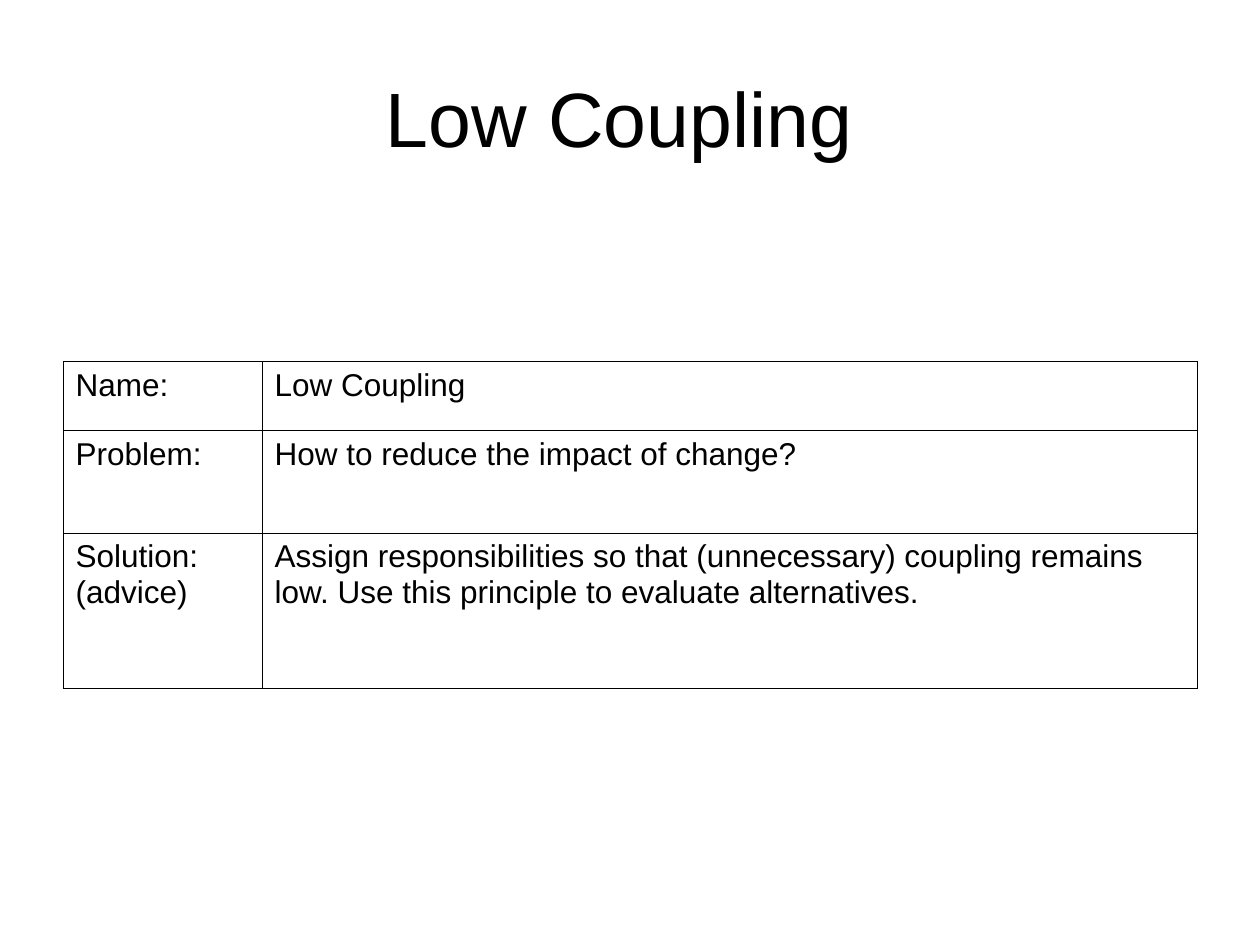
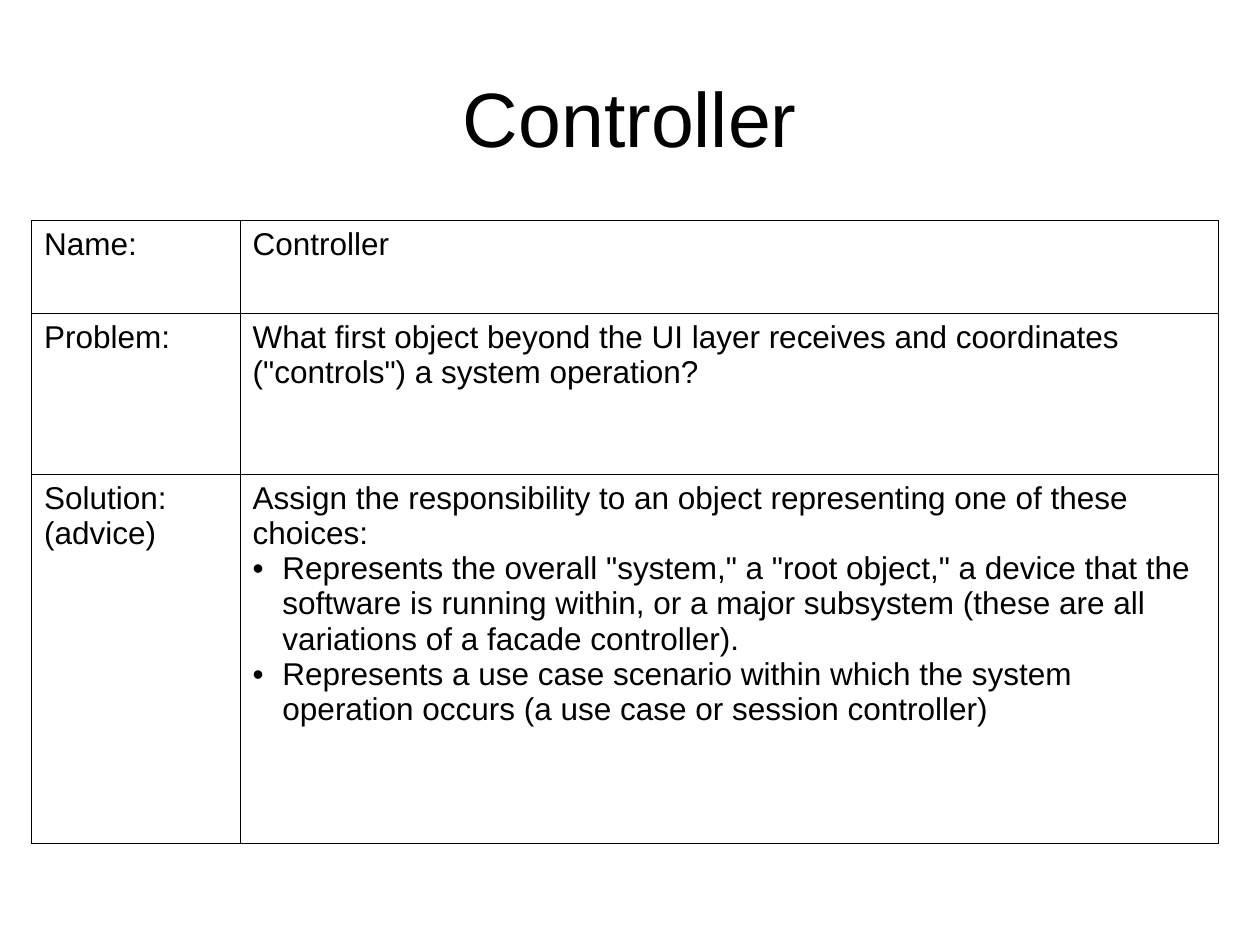
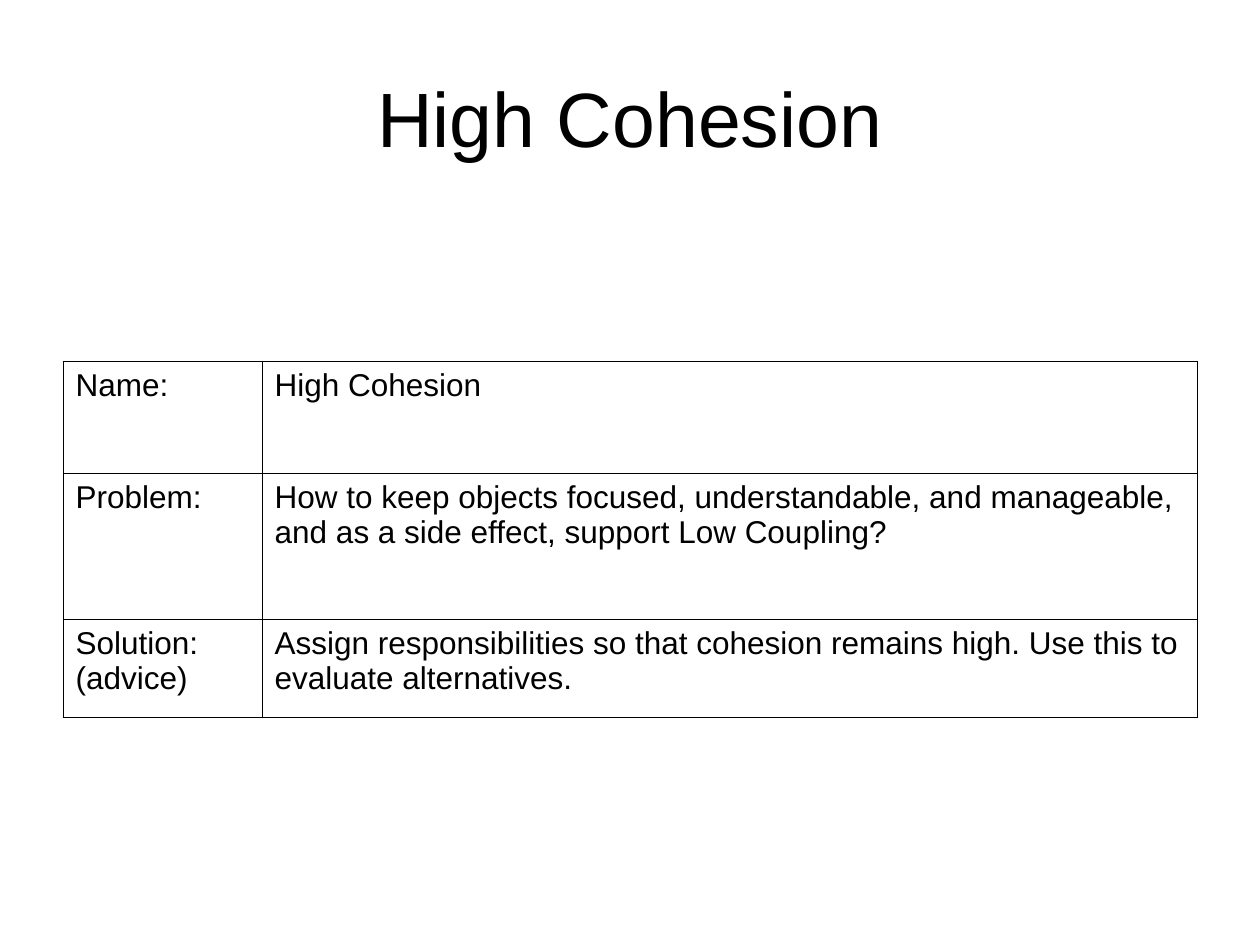
import pptx
import pptx.dml.color
import pptx.enum.text
import pptx.oxml
import pptx.oxml.ns
import pptx.util

Pt = pptx.util.Pt
ALIGN = pptx.enum.text.PP_ALIGN
ANCHOR = pptx.enum.text.MSO_ANCHOR

# Shared style
BLACK = pptx.dml.color.RGBColor(0x00, 0x00, 0x00)
FONT = "Arial"
TITLE_SIZE = 44
BODY_SIZE = 18
BORDER_WIDTH = 0.45
BULLET_INDENT = 17
LABELS = ("Name:", "Problem:", "Solution: (advice)")

# Table placement: left, top, column widths
LOW_TABLE = (36, 206.6, (113.8, 534.2))
TALL_TABLE = (18, 126, (119.2, 558.8))

# Each pattern: title, placement, row heights, one list of paragraphs per label
PATTERNS = (
    ("Low Coupling ", LOW_TABLE, (39.3, 58.7, 89), (
        ["Low Coupling"],
        ["How to reduce the impact of change?"],
        ["Assign responsibilities so that (unnecessary) coupling remains low. "
         "Use this principle to evaluate alternatives."],
    )),
    ("Controller", TALL_TABLE, (53, 92, 211), (
        ["Controller"],
        ['What first object beyond the UI layer receives and coordinates '
         '("controls") a system operation?'],
        ["Assign the responsibility to an object representing one of these choices:",
         'Represents the overall "system," a "root object," a device that the '
         'software is running within, or a major subsystem (these are all '
         'variations of a facade controller).',
         "Represents a use case scenario within which the system operation "
         "occurs (a use case or session controller)"],
    )),
    ("High Cohesion", LOW_TABLE, (64, 83.4, 56), (
        ["High Cohesion"],
        ["How to keep objects focused, understandable, and manageable, and as "
         "a side effect, support Low Coupling?"],
        ["Assign responsibilities so that cohesion remains high. Use this to "
         "evaluate alternatives."],
    )),
)


def xml_element(tag, attributes="", content=""):
    namespace = pptx.oxml.ns.nsdecls("a")
    return pptx.oxml.parse_xml(f"<a:{tag} {namespace} {attributes}>{content}</a:{tag}>")


def write_text(para, text, size=BODY_SIZE, color=BLACK, align=ALIGN.LEFT, bullet=False):
    para.alignment = align
    if bullet:
        properties = para._p.get_or_add_pPr()
        properties.set("marL", str(Pt(BULLET_INDENT)))
        properties.set("indent", str(-Pt(BULLET_INDENT)))
        properties.append(xml_element("buFont", f'typeface="{FONT}"'))
        properties.append(xml_element("buChar", 'char="•"'))
    span = para.add_run()
    span.text = text
    span.font.name = FONT
    span.font.size = Pt(size)
    span.font.color.rgb = color


def add_title(page, text):
    box = page.shapes.add_textbox(Pt(36), Pt(21.6), Pt(648), Pt(90))
    frame = box.text_frame
    frame.word_wrap = True
    frame.vertical_anchor = ANCHOR.MIDDLE
    write_text(frame.paragraphs[0], text, size=TITLE_SIZE, align=ALIGN.CENTER)


def add_borders(cell):
    properties = cell._tc.get_or_add_tcPr()
    line_fill = f'<a:solidFill><a:srgbClr val="{BLACK}"/></a:solidFill>'
    for position, side in enumerate(("lnL", "lnR", "lnT", "lnB")):
        border = xml_element(side, f'w="{Pt(BORDER_WIDTH)}"', line_fill)
        properties.insert(position, border)


def fill_cell(cell, texts):
    """Write the first text plainly and any further ones as bullets."""
    cell.fill.background()
    add_borders(cell)
    cell.margin_left = cell.margin_right = Pt(7.2)
    cell.margin_top = cell.margin_bottom = Pt(3.6)
    frame = cell.text_frame
    for index, text in enumerate(texts):
        para = frame.add_paragraph() if index else frame.paragraphs[0]
        write_text(para, text, bullet=index > 0)


def add_pattern_table(page, placement, heights, answers):
    left, top, widths = placement
    frame = page.shapes.add_table(len(LABELS), len(widths), Pt(left), Pt(top),
                                  Pt(sum(widths)), Pt(sum(heights)))
    table = frame.table
    table.first_row = False
    table.horz_banding = False
    for column, width in zip(table.columns, widths):
        column.width = Pt(width)
    for row, height, label, answer in zip(table.rows, heights, LABELS, answers):
        row.height = Pt(height)
        fill_cell(row.cells[0], [label])
        fill_cell(row.cells[1], answer)


def main():
    deck = pptx.Presentation()
    deck.slide_width, deck.slide_height = Pt(720), Pt(540)
    for title, placement, heights, answers in PATTERNS:
        page = deck.slides.add_slide(deck.slide_layouts[6])
        add_title(page, title)
        add_pattern_table(page, placement, heights, answers)
    deck.save("out.pptx")


if __name__ == "__main__":
    main()
